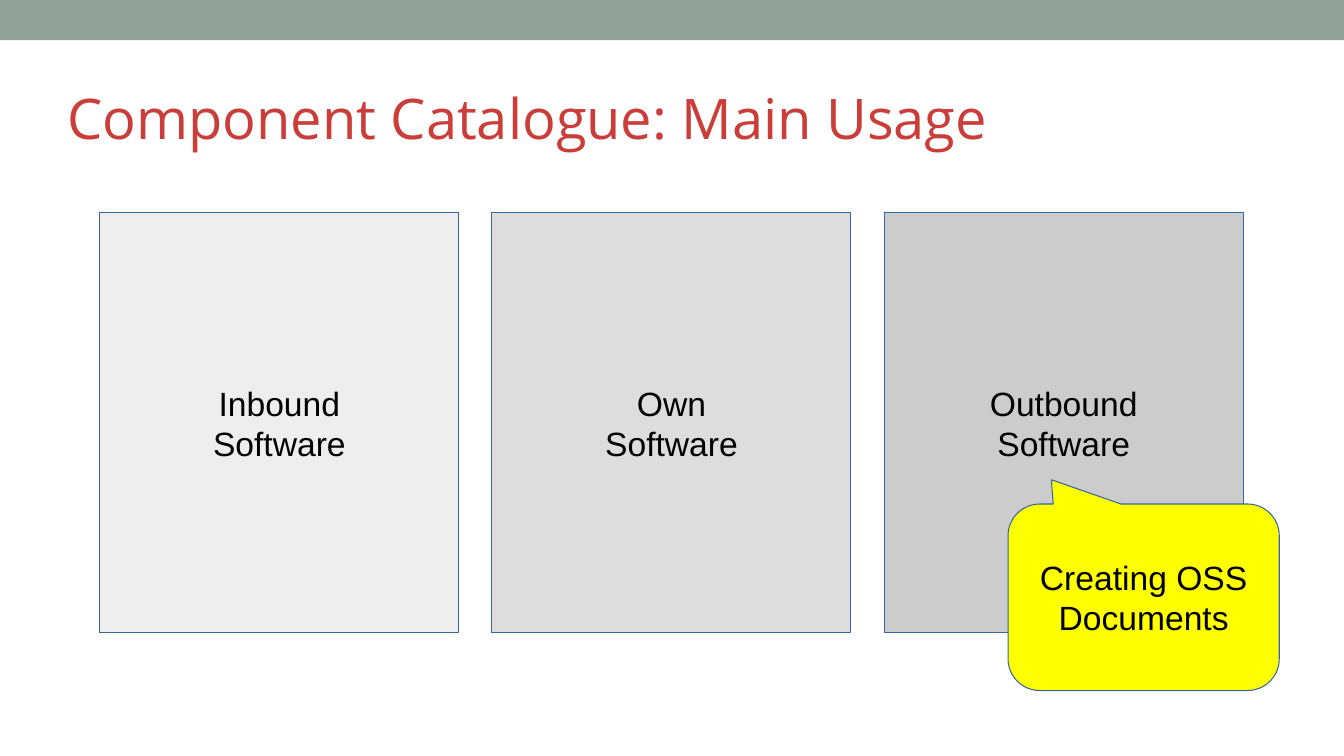
from dataclasses import dataclass

from pptx import Presentation
from pptx import util as u
from pptx.dml.color import RGBColor
from pptx.enum import shapes, text

SLIDE_WIDTH = u.Inches(13.33)
SLIDE_HEIGHT = u.Inches(7.5)
SHAPE = shapes.MSO_SHAPE
FIRST_COLUMN, COLUMN_STEP, COLUMN_WIDTH = 7.43, 29.18, 26.71
COLUMN_TOP, COLUMN_HEIGHT = 28.13, 55.6
OUTLINE = "3465A4"


@dataclass(frozen=True)
class Area:
    left: float
    top: float
    width: float
    height: float

    def lengths(self) -> tuple[int, int, int, int]:
        return (
            round(SLIDE_WIDTH * self.left / 100),
            round(SLIDE_HEIGHT * self.top / 100),
            round(SLIDE_WIDTH * self.width / 100),
            round(SLIDE_HEIGHT * self.height / 100),
        )


@dataclass(frozen=True)
class Block:
    area: Area
    fill: str
    label: str = ""
    outline: str = ""
    preset: SHAPE = SHAPE.RECTANGLE
    adjustments: tuple[float, ...] = ()


def colour(value: str) -> RGBColor:
    return RGBColor.from_string(value)


def apply(target, values: dict) -> None:
    for name, value in values.items():
        setattr(target, name, value)


def write(shape, words: str, frame_format: dict, alignment, font_format: dict, font_colour: str) -> None:
    frame = shape.text_frame
    frame.text = words
    apply(frame, {"word_wrap": True, **frame_format})
    for paragraph in frame.paragraphs:
        paragraph.alignment = alignment
        for run in paragraph.runs:
            apply(run.font, font_format)
            run.font.color.rgb = colour(font_colour)


def draw_block(slide, block: Block) -> None:
    shape = slide.shapes.add_shape(block.preset, *block.area.lengths())
    shape.shadow.inherit = False
    shape.fill.solid()
    shape.fill.fore_color.rgb = colour(block.fill)
    for index, value in enumerate(block.adjustments):
        shape.adjustments[index] = value
    if block.outline:
        shape.line.color.rgb = colour(block.outline)
        shape.line.width = u.Pt(0.75)
    else:
        shape.line.fill.background()
    if block.label:
        write(
            shape,
            block.label,
            {"vertical_anchor": text.MSO_ANCHOR.MIDDLE},
            text.PP_ALIGN.CENTER,
            {"name": "Arial", "size": u.Pt(24)},
            "000000",
        )


def draw_title(slide, words: str, area: Area) -> None:
    title = slide.shapes.add_textbox(*area.lengths())
    margins = {f"margin_{side}": 0 for side in ("left", "top", "right", "bottom")}
    write(
        title,
        words,
        {"vertical_anchor": text.MSO_ANCHOR.BOTTOM, **margins},
        text.PP_ALIGN.LEFT,
        {"name": "Open Sans", "size": u.Pt(40)},
        "CB3D39",
    )


def software_column(index: int, label: str, fill: str) -> Block:
    left = FIRST_COLUMN + index * COLUMN_STEP
    return Block(Area(left, COLUMN_TOP, COLUMN_WIDTH, COLUMN_HEIGHT), fill, label, OUTLINE)


def main() -> None:
    presentation = Presentation()
    apply(presentation, {"slide_width": SLIDE_WIDTH, "slide_height": SLIDE_HEIGHT})
    slide = presentation.slides.add_slide(presentation.slide_layouts[6])

    draw_block(slide, Block(Area(0, 0, 100, 5.33), "93A299"))
    draw_title(slide, "Component Catalogue: Main Usage", Area(5, 4.67, 90, 15.33))

    columns = (
        ("Inbound\nSoftware", "EEEEEE"),
        ("Own\nSoftware", "DDDDDD"),
        ("Outbound\nSoftware", "CCCCCC"),
    )
    for index, (label, fill) in enumerate(columns):
        draw_block(slide, software_column(index, label, fill))

    callout = Block(
        Area(75, 66.67, 20.18, 24.67),
        "FFFF00",
        "Creating OSS Documents",
        OUTLINE,
        SHAPE.ROUNDED_RECTANGULAR_CALLOUT,
        (-0.34, -0.63, 0.17),
    )
    draw_block(slide, callout)
    presentation.save("out.pptx")


if __name__ == "__main__":
    main()
